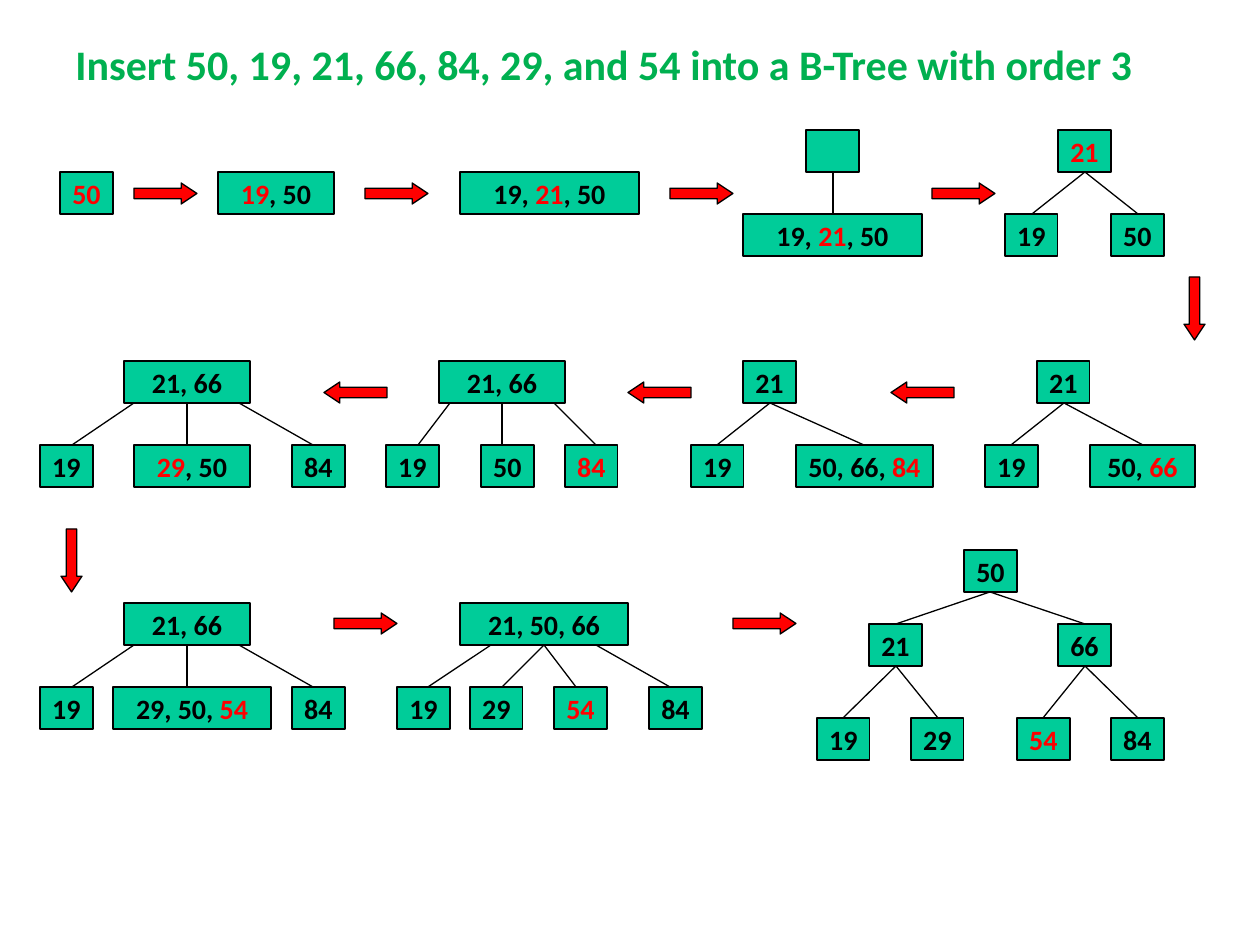
from pptx import Presentation
from pptx.dml.color import RGBColor
from pptx.enum.shapes import MSO_CONNECTOR, MSO_SHAPE
from pptx.enum.text import MSO_ANCHOR, PP_ALIGN
from pptx.oxml.ns import qn
from pptx.util import Pt
from lxml import etree

PIXEL = 914400 // 126
GREEN, RED, BLACK, TITLE_GREEN = "00CC99", "FF0000", "000000", "00B050"
KEY_WIDTH, NODE_HEIGHT = 53, 42
ARROW_WIDTH, ARROW_HEIGHT = 63, 21


def color(hex_string):
    return RGBColor.from_string(hex_string)


def add_block(kind, left, top, width, height, fill):
    block = slide.shapes.add_shape(kind, *[n * PIXEL for n in (left, top, width, height)])
    block.shadow.inherit = False
    block.fill.solid()
    block.fill.fore_color.rgb = color(fill)
    block.line.color.rgb = color(BLACK)
    block.line.width = Pt(0.75)
    return block


deck = Presentation()
deck.slide_width, deck.slide_height = 1260 * PIXEL, 945 * PIXEL
slide = deck.slides.add_slide(deck.slide_layouts[6])

# Title
title = slide.shapes.add_textbox(63 * PIXEL, 32 * PIXEL, 1124 * PIXEL, 63 * PIXEL)
title.text_frame.word_wrap = True
title.text_frame.text = "Insert 50, 19, 21, 66, 84, 29, and 54 into a B-Tree with order 3"
font = title.text_frame.paragraphs[0].runs[0].font
font.name, font.size, font.bold = "Calibri", Pt(24), True
font.color.rgb = color(TITLE_GREEN)

# Tree edges: parent bottom, child top, pairs of parent x and child x
wide_root_edges = [(134, 72), (187, 187), (239, 313)]
edge_rows = [
    (172, 214, [(833, 833), (1085, 1032), (1085, 1138)]),
    (403, 445, wide_root_edges + [(450, 418), (502, 502), (554, 596), (770, 717),
                                  (770, 864), (1064, 1011), (1064, 1143)]),
    (645, 687, wide_root_edges + [(491, 428), (544, 502), (544, 576), (596, 670)]),
    (592, 624, [(990, 896), (990, 1085)]),
    (666, 718, [(896, 843), (896, 938), (1085, 1043), (1085, 1138)]),
]
for parent_y, child_y, pairs in edge_rows:
    for parent_x, child_x in pairs:
        edge = slide.shapes.add_connector(
            MSO_CONNECTOR.STRAIGHT,
            *[n * PIXEL for n in (parent_x, parent_y, child_x, child_y)])
        edge.line.color.rgb = color(BLACK)
        edge.line.width = Pt(0.75)
        etree.SubElement(edge._element.spPr, qn("a:effectLst"))

# Tree nodes by row top: left, width, keys (a key between asterisks is red)
node_rows = {
    130: [(806, KEY_WIDTH, ""), (1058, KEY_WIDTH, "*21*")],
    172: [(60, KEY_WIDTH, "*50*"), (218, 116, "*19*, 50"), (460, 179, "19,* 21*, 50")],
    214: [(743, 179, "19,* 21*, 50"), (1005, KEY_WIDTH, "19"), (1111, KEY_WIDTH, "50")],
    361: [(124, 126, "21, 66"), (439, 126, "21, 66"), (743, KEY_WIDTH, "21"),
          (1037, KEY_WIDTH, "21")],
    445: [(40, KEY_WIDTH, "19"), (134, 116, "*29*, 50"), (292, KEY_WIDTH, "84"),
          (386, KEY_WIDTH, "19"), (481, KEY_WIDTH, "50"), (565, KEY_WIDTH, "*84*"),
          (691, KEY_WIDTH, "19"), (796, 137, "50, 66, *84*"),
          (985, KEY_WIDTH, "19"), (1090, 105, "50, *66*")],
    550: [(964, KEY_WIDTH, "50")],
    603: [(124, 126, "21, 66"), (460, 168, "21, 50, 66")],
    624: [(869, KEY_WIDTH, "21"), (1058, KEY_WIDTH, "66")],
    687: [(40, KEY_WIDTH, "19"), (113, 158, "29, 50, *54*"), (292, KEY_WIDTH, "84"),
          (397, KEY_WIDTH, "19"), (470, KEY_WIDTH, "29"), (554, KEY_WIDTH, "*54*"),
          (649, KEY_WIDTH, "84")],
    718: [(817, KEY_WIDTH, "19"), (911, KEY_WIDTH, "29"), (1017, KEY_WIDTH, "*54*"),
          (1111, KEY_WIDTH, "84")],
}
for top, nodes in node_rows.items():
    for left, width, keys in nodes:
        box = add_block(MSO_SHAPE.RECTANGLE, left, top, width, NODE_HEIGHT, GREEN)
        frame = box.text_frame
        frame.word_wrap = False
        frame.vertical_anchor = MSO_ANCHOR.MIDDLE
        para = frame.paragraphs[0]
        para.alignment = PP_ALIGN.CENTER
        for index, part in enumerate(keys.split("*")):
            if part:
                span = para.add_run()
                span.text = part
                span.font.name, span.font.size, span.font.bold = "Calibri", Pt(16), True
                span.font.color.rgb = color(RED if index % 2 else BLACK)

# Step arrows: rotation, top, lefts
arrow_rows = [
    (0, 183, [134, 365, 670, 932]),
    (90, 298, [1163]),
    (180, 382, [324, 628, 891]),
    (90, 550, [40]),
    (0, 613, [334, 733]),
]
for rotation, top, lefts in arrow_rows:
    for left in lefts:
        arrow = add_block(MSO_SHAPE.RIGHT_ARROW, left, top, ARROW_WIDTH, ARROW_HEIGHT, RED)
        arrow.adjustments[0], arrow.adjustments[1] = 0.5, 0.75
        arrow.rotation = rotation

deck.save("out.pptx")
